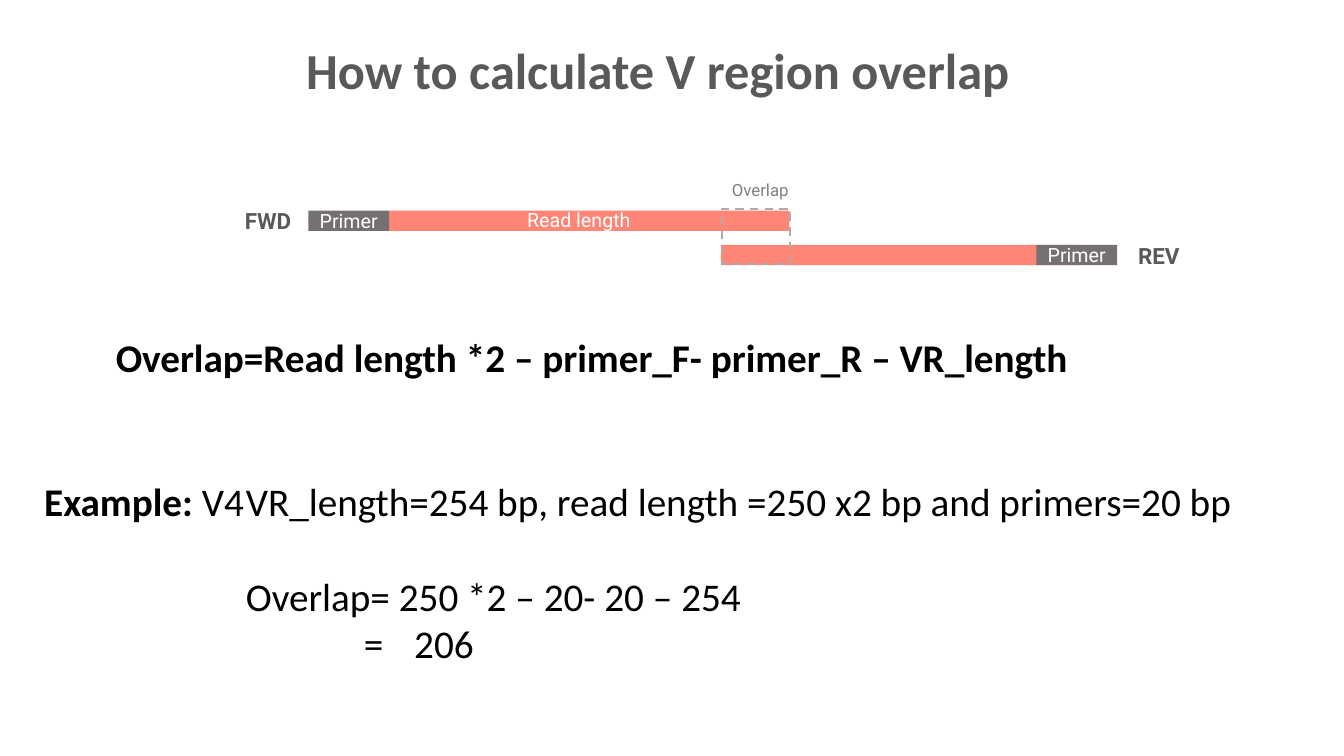
import pptx
import pptx.dml.color
import pptx.enum.dml
import pptx.enum.shapes
import pptx.enum.text
import pptx.oxml
import pptx.oxml.ns
import pptx.util

Inches = pptx.util.Inches
RGBColor = pptx.dml.color.RGBColor
ALIGN = pptx.enum.text.PP_ALIGN
ANCHOR = pptx.enum.text.MSO_ANCHOR

READ = RGBColor(0xFF, 0x85, 0x77)
PRIMER = RGBColor(0x76, 0x71, 0x71)
DASH = RGBColor(0xAF, 0xAB, 0xAB)
HEADING = RGBColor(0x59, 0x59, 0x59)
CAPTION = RGBColor(0x80, 0x80, 0x80)
WHITE = RGBColor(0xFF, 0xFF, 0xFF)
BLACK = RGBColor(0, 0, 0)

BAR_HEIGHT = 0.2
FORWARD_TOP, REVERSE_TOP = 2.09, 2.43
PRIMER_WIDTH = 0.8
FORWARD_LEFT, REVERSE_LEFT = 3.06, 7.15
REVERSE_PRIMER_LEFT = 10.28


def add_text(para, text, size=28, color=BLACK, bold=False, font="Calibri", align=None):
    span = para.add_run()
    span.text = text
    span.font.size = pptx.util.Pt(size)
    span.font.color.rgb = color
    span.font.bold = bold
    span.font.name = font
    if align is not None:
        para.alignment = align


def set_indent(para, left=0, tab=None):
    """Set the left margin and an optional tab stop, both in inches."""
    properties = para._p.get_or_add_pPr()
    properties.set("marL", str(Inches(left)))
    properties.set("indent", "0")
    if tab is not None:
        stops = pptx.oxml.parse_xml(
            f'<a:tabLst {pptx.oxml.ns.nsdecls("a")}>'
            f'<a:tab pos="{Inches(tab)}" algn="l"/></a:tabLst>')
        properties.append(stops)


def add_box(shapes, left, top, width, height):
    box = shapes.add_textbox(Inches(left), Inches(top), Inches(width), Inches(height))
    box.text_frame.word_wrap = True
    return box.text_frame


def add_label(shapes, left, top, width, height, text, **style):
    frame = add_box(shapes, left, top, width, height)
    add_text(frame.paragraphs[0], text, **style)


def add_bar(shapes, left, top, width, height=BAR_HEIGHT, fill=None):
    bar = shapes.add_shape(pptx.enum.shapes.MSO_SHAPE.RECTANGLE,
                           Inches(left), Inches(top), Inches(width), Inches(height))
    bar.shadow.inherit = False
    bar.line.fill.background()
    if fill is None:
        bar.fill.background()
    else:
        bar.fill.solid()
        bar.fill.fore_color.rgb = fill
    return bar


def add_primer(shapes, left, top):
    frame = add_bar(shapes, left, top, PRIMER_WIDTH, fill=PRIMER).text_frame
    frame.word_wrap = False
    frame.vertical_anchor = ANCHOR.MIDDLE
    add_text(frame.paragraphs[0], "Primer", size=14, color=WHITE, font="Roboto",
             align=ALIGN.CENTER)


def add_title(page):
    title = page.shapes.title
    title.left, title.top = Inches(2.83), Inches(0.34)
    title.width, title.height = Inches(7.39), Inches(0.71)
    frame = title.text_frame
    frame.auto_size = pptx.enum.text.MSO_AUTO_SIZE.NONE
    frame.vertical_anchor = ANCHOR.TOP
    add_text(frame.paragraphs[0], "How to calculate V region overlap", size=36,
             color=HEADING, bold=True, align=ALIGN.CENTER)


def add_read_diagram(page):
    shapes = page.shapes.add_group_shape().shapes
    add_bar(shapes, FORWARD_LEFT + PRIMER_WIDTH, FORWARD_TOP, 3.97, fill=READ)
    add_bar(shapes, REVERSE_LEFT, REVERSE_TOP, 3.54, fill=READ)
    add_primer(shapes, FORWARD_LEFT, FORWARD_TOP)
    add_primer(shapes, REVERSE_PRIMER_LEFT, REVERSE_TOP)
    add_label(shapes, 7.16, 1.73, 0.82, 0.3, "Overlap", size=12, color=CAPTION,
              font="Roboto")
    add_label(shapes, 5.13, 2.01, 1.57, 0.34, "Read length", size=14, color=WHITE,
              font="Roboto")
    for text, left, bar_top in (("FWD", 2.33, FORWARD_TOP), ("REV", 11.19, REVERSE_TOP)):
        add_label(shapes, left, bar_top - 0.08, 0.83, 0.37, text, size=16,
                  color=HEADING, bold=True, font="Roboto")
    overlap = add_bar(shapes, 7.16, 2.07, 0.68, 0.55)
    overlap.line.color.rgb = DASH
    overlap.line.width = pptx.util.Pt(1.5)
    overlap.line.dash_style = pptx.enum.dml.MSO_LINE.DASH


def add_example(page):
    frame = add_box(page.shapes, 0.34, 4.69, 12.37, 1.99)
    given = frame.paragraphs[0]
    set_indent(given, tab=2.16)
    add_text(given, "Example: ", bold=True)
    add_text(given, "V4\tVR_length=254 bp, read length =250 x2 bp and primers=20 bp")
    calculation = frame.add_paragraph()
    set_indent(calculation, left=2)
    calculation.space_before = pptx.util.Pt(34)
    add_text(calculation, "Overlap= 250 *2 – 20- 20 – 254")
    result = frame.add_paragraph()
    set_indent(result, left=3.17, tab=3.54)
    add_text(result, "=\t206")


def main():
    deck = pptx.Presentation()
    deck.slide_width, deck.slide_height = Inches(13.33), Inches(7.5)
    page = deck.slides.add_slide(deck.slide_layouts.get_by_name("Title Only"))
    add_title(page)
    add_read_diagram(page)
    add_label(page.shapes, 1.05, 3.26, 10.37, 0.57,
              "Overlap=Read length *2 – primer_F- primer_R – VR_length", bold=True)
    add_example(page)
    deck.save("out.pptx")


if __name__ == "__main__":
    main()
